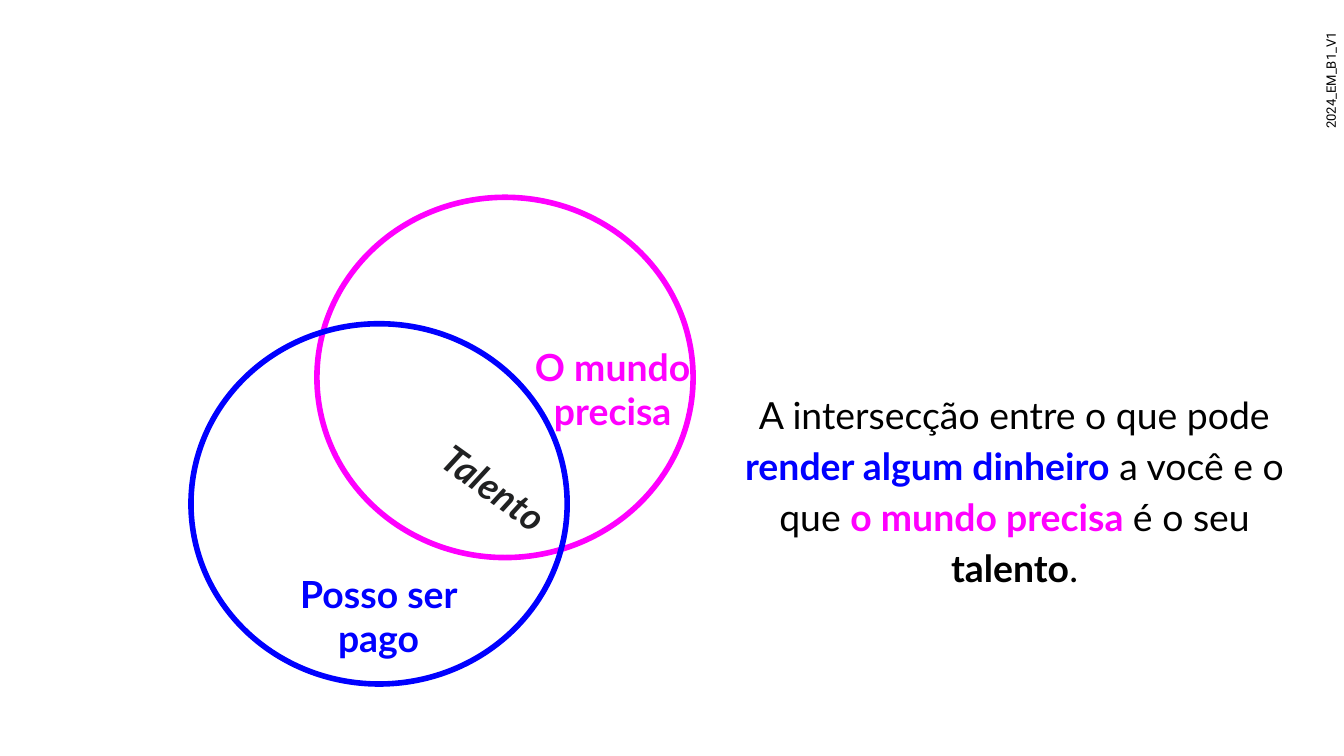
from pptx import Presentation
from pptx.dml.color import RGBColor
from pptx.enum.shapes import MSO_SHAPE
from pptx.enum.text import MSO_ANCHOR, PP_ALIGN
from pptx.util import Cm, Pt

PINK, BLUE, BLACK, CHARCOAL = "FF00FF", "0000FF", "000000", "202122"


def rgb(color):
    return RGBColor.from_string(color)


def add_circle(s, left, top, color):
    sp = s.shapes.add_shape(MSO_SHAPE.OVAL, Cm(left), Cm(top), Cm(7.11), Cm(6.81))
    sp.shadow.inherit = False
    sp.fill.background()
    sp.line.color.rgb = rgb(color)
    sp.line.width = Pt(3)


def add_text(s, box, runs, font="Lato", size=20, inset=0.25, rotation=0,
             italic=False, spacing=None, anchor=MSO_ANCHOR.TOP):
    """Add one centred paragraph; runs are (text, color, bold) and box is in cm."""
    sp = s.shapes.add_textbox(*map(Cm, box))
    sp.rotation = rotation
    tf = sp.text_frame
    tf.word_wrap = True
    tf.vertical_anchor = anchor
    tf.margin_left = tf.margin_right = Cm(0.25)
    tf.margin_top = tf.margin_bottom = Cm(inset)
    p = tf.paragraphs[0]
    p.alignment = PP_ALIGN.CENTER
    p.line_spacing = spacing
    p.font.name = font
    p.font.size = Pt(size)
    p.font.italic = italic
    for text, color, bold in runs:
        r = p.add_run()
        r.text = text
        r.font.color.rgb = rgb(color)
        r.font.bold = bold


def main():
    prs = Presentation()
    prs.slide_width, prs.slide_height = Cm(25.4), Cm(14.29)
    s = prs.slides.add_slide(prs.slide_layouts[6])

    add_text(s, (23.7, 1.19, 2.9, 0.66), [("2024_EM_B1_V1", BLACK, False)],
             font="Roboto", size=7, rotation=270, anchor=MSO_ANCHOR.MIDDLE)

    add_circle(s, 5.99, 3.73, PINK)
    add_circle(s, 3.61, 6.12, BLUE)
    add_text(s, (5.11, 10.54, 4.09, 2.24), [("Posso ser pago", BLUE, True)])
    add_text(s, (9.8, 6.25, 3.56, 2.26), [("O mundo precisa", PINK, True)])
    add_text(s, (7.85, 8.66, 2.97, 1.12), [("Talento", CHARCOAL, True)],
             inset=0.13, rotation=35.6, italic=True)

    add_text(s, (13.79, 7.16, 10.77, 4.06), [
        ("A intersecção entre o que pode ", BLACK, False),
        ("render algum dinheiro", BLUE, True),
        (" a você e o que ", BLACK, False),
        ("o mundo precisa ", PINK, True),
        ("é o seu ", BLACK, False),
        ("talento", BLACK, True),
        (".", BLACK, False),
    ], inset=0.13, spacing=1.14)

    prs.save("out.pptx")


if __name__ == "__main__":
    main()
